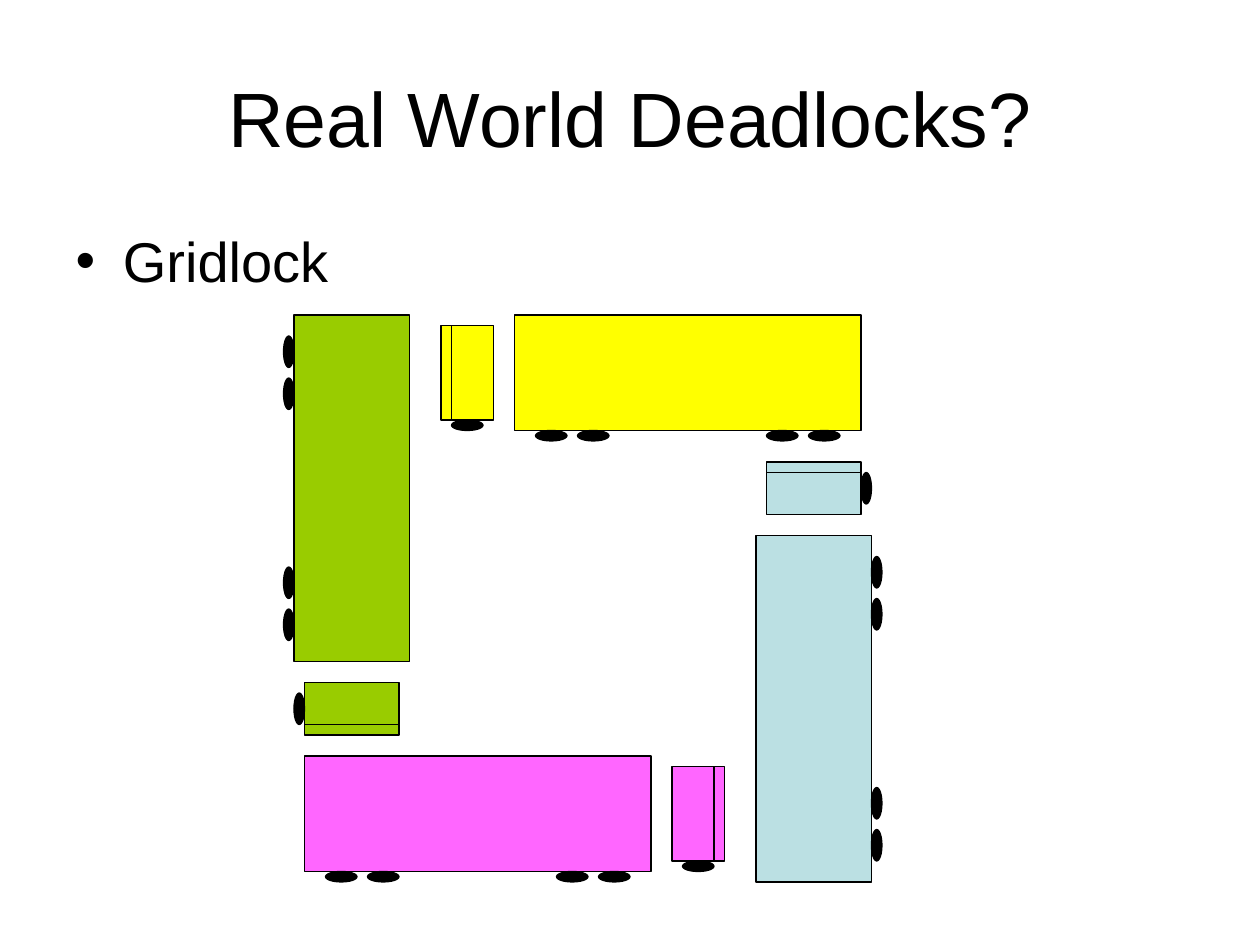
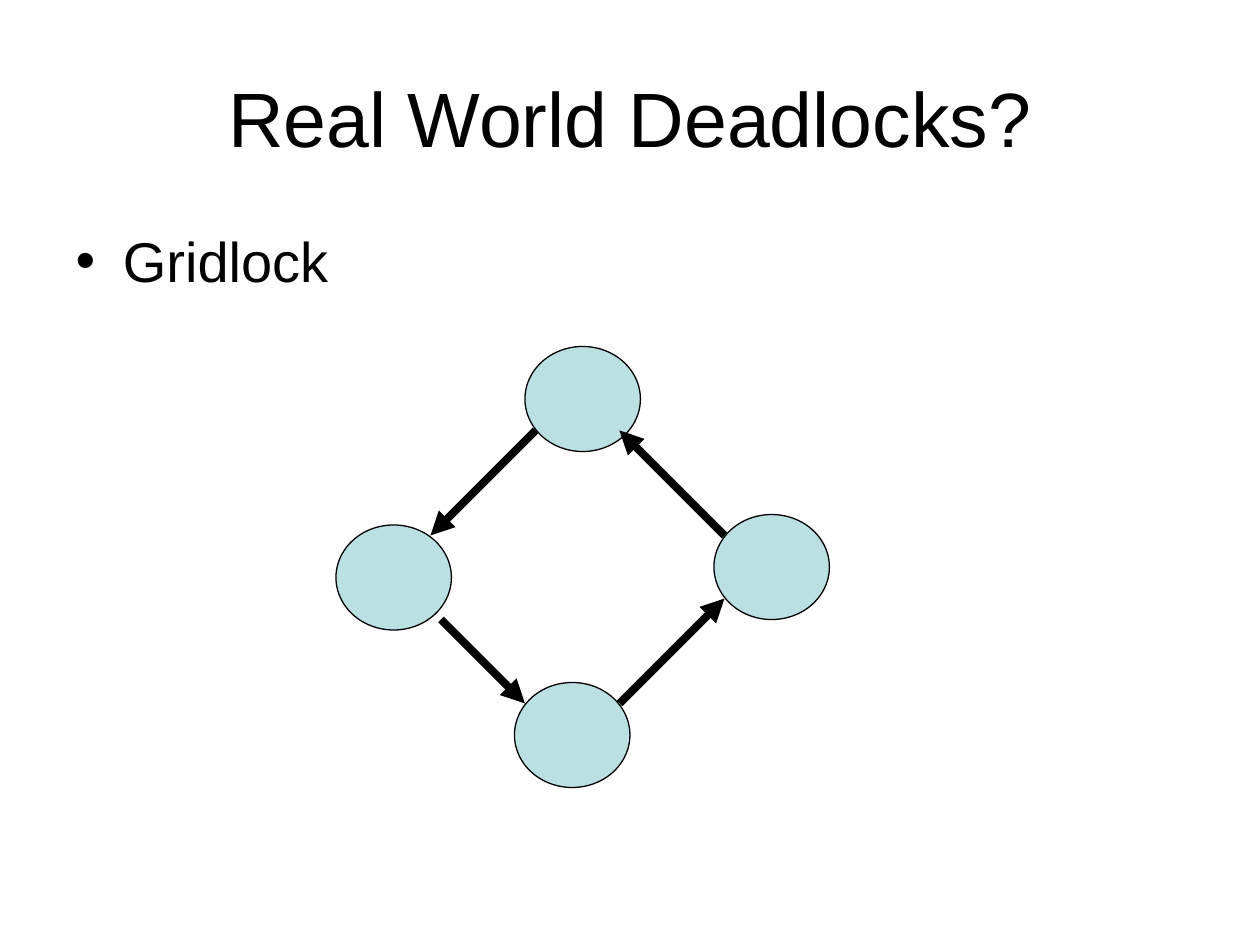
from lxml import etree
from pptx import Presentation
from pptx.dml.color import RGBColor
from pptx.enum.shapes import MSO_CONNECTOR, MSO_SHAPE
from pptx.enum.text import MSO_ANCHOR, MSO_AUTO_SIZE, PP_ALIGN
from pptx.oxml.ns import qn
from pptx.util import Pt

RECT, OVAL = MSO_SHAPE.RECTANGLE, MSO_SHAPE.OVAL
STRAIGHT = MSO_CONNECTOR.STRAIGHT

# Shared content and style; all lengths in points
TITLE = "Real World Deadlocks?"
BULLETS = ["Gridlock"]
FONT = "Arial"
BLACK, PALE_BLUE = "000000", "BBE0E3"
TITLE_BOX = (36, 21.6, 648, 90)
BODY_BOX = (36, 126, 648, 356.4)

# One truck heading left: parts as left, top, width, height
TRUCK_LENGTH, TRUCK_HEIGHT = 240, 72
BODYWORK = [(42, 0, 198, 66), (6, 6, 24, 54), (0, 6, 6, 54)]  # trailer, cab, hood
WHEEL_SIZE = (18, 6)
WHEELS = [(6, 60), (54, 66), (78, 66), (186, 66), (210, 66)]

# Trucks: colour, left, top, rotation, nose at far end, wheels on near side
TRUCKS = [
    ("FFFF00", 252, 180, 0, False, False),
    ("FF66FF", 174, 432, 0, True, False),
    ("99CC00", 162, 180, 90, True, True),
    (PALE_BLUE, 432, 264, 270, False, False),
]

# Wait-for cycle
NODE_SIZE = (66, 60)
NODES = [(300, 198), (408, 294), (294, 390), (192, 300)]
WAITS = [
    ((306, 246), (246, 306)),
    ((354, 402), (414, 342)),
    ((252, 354), (300, 402)),
    ((414, 306), (354, 246)),
]


def color(value):
    return RGBColor.from_string(value)


def fill_placeholder(placeholder, box, lines, size):
    placeholder.left, placeholder.top, placeholder.width, placeholder.height = map(Pt, box)
    frame = placeholder.text_frame
    frame.auto_size = MSO_AUTO_SIZE.NONE
    for i, line in enumerate(lines):
        paragraph = frame.add_paragraph() if i else frame.paragraphs[0]
        run = paragraph.add_run()
        run.text = line
        run.font.name = FONT
        run.font.size = Pt(size)
        run.font.color.rgb = color(BLACK)
    return frame


def add_gridlock_slide(prs):
    slide = prs.slides.add_slide(prs.slide_layouts[1])
    title = fill_placeholder(slide.shapes.title, TITLE_BOX, [TITLE], 44)
    title.vertical_anchor = MSO_ANCHOR.MIDDLE
    title.paragraphs[0].alignment = PP_ALIGN.CENTER
    body = fill_placeholder(slide.placeholders[1], BODY_BOX, BULLETS, 32)
    for paragraph in body.paragraphs:
        paragraph.space_before = Pt(8)
    return slide


def add_figure(slide, kind, box, fill, rotation=0):
    figure = slide.shapes.add_shape(kind, *map(Pt, box))
    figure.rotation = rotation
    figure.shadow.inherit = False
    figure.fill.solid()
    figure.fill.fore_color.rgb = color(fill)
    figure.line.color.rgb = color(BLACK)
    figure.line.width = Pt(0.75)


def add_truck(slide, paint, left, top, rotation, nose_far, wheels_near):
    parts = [(RECT, box, paint) for box in BODYWORK]
    parts += [(OVAL, wheel + WHEEL_SIZE, BLACK) for wheel in WHEELS]
    for kind, (x, y, width, height), fill in parts:
        # Centre of the part along and across the truck
        along, across = x + width / 2, y + height / 2
        if nose_far:
            along = TRUCK_LENGTH - along
        if wheels_near:
            across = TRUCK_HEIGHT - across
        dx, dy = (across, along) if rotation else (along, across)
        box = (left + dx - width / 2, top + dy - height / 2, width, height)
        add_figure(slide, kind, box, fill, rotation)


def add_arrow(slide, start, end):
    arrow = slide.shapes.add_connector(STRAIGHT, *map(Pt, start + end))
    arrow.line.color.rgb = color(BLACK)
    arrow.line.width = Pt(4.5)
    properties = arrow._element.spPr
    etree.SubElement(properties.find(qn("a:ln")), qn("a:tailEnd"), type="triangle")
    etree.SubElement(properties, qn("a:effectLst"))


def main():
    prs = Presentation()
    prs.slide_width, prs.slide_height = Pt(720), Pt(540)

    # Slide 1: four trucks blocking each other
    trucks_slide = add_gridlock_slide(prs)
    for truck in TRUCKS:
        add_truck(trucks_slide, *truck)

    # Slide 2: the same deadlock as a cycle
    cycle_slide = add_gridlock_slide(prs)
    for node in NODES:
        add_figure(cycle_slide, OVAL, node + NODE_SIZE, PALE_BLUE)
    for start, end in WAITS:
        add_arrow(cycle_slide, start, end)

    prs.save("out.pptx")


if __name__ == "__main__":
    main()
